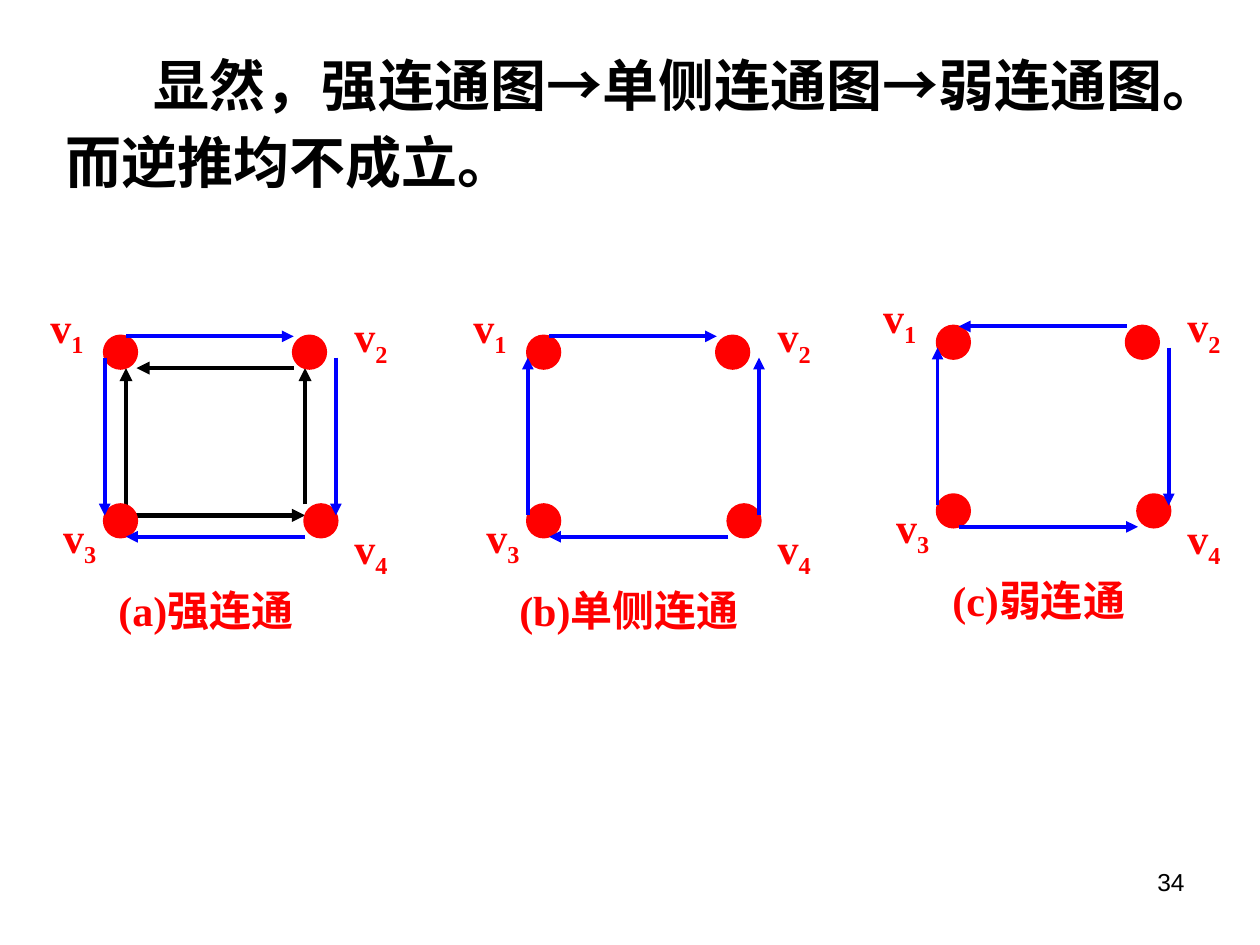
from dataclasses import dataclass
from pptx import Presentation
from pptx.dml.color import RGBColor as RGB
from pptx.enum.shapes import MSO_CONNECTOR as LINK, MSO_SHAPE as SHAPE
from pptx.enum.text import MSO_ANCHOR as ANCHOR, MSO_AUTO_SIZE as FIT, PP_ALIGN as ALIGN
from pptx.oxml.ns import qn
from pptx.util import Cm, Pt
from lxml.etree import SubElement as sub


@dataclass(frozen=True)
class Theme:
    ink: RGB = RGB(0, 0, 0)
    red: RGB = RGB(255, 0, 0)
    blue: RGB = RGB(0, 0, 255)
    head: str = "League Spartan"
    body: str = "Times New Roman"
    foot: str = "Arial"
    big: Pt = Pt(32)
    mid: Pt = Pt(24)
    small: Pt = Pt(14)
    bold: Pt = Pt(2.5)
    thin: Pt = Pt(2.25)
    rim: Pt = Pt(2)


T = Theme()
DOT = 0.64
TAG = 1.42
NODES = [(0, 0), (3.81, 0), (0, 3.4), (4.04, 3.4)]
TAGS = [(-1.47, -0.83), (4.66, -0.64), (-1.21, 3.4), (4.66, 3.62)]
SIDES = {
    "left": ((0, 0.43), (0, 3.61)),
    "right": ((4.66, 0.43), (4.66, 3.61)),
    "bottom": ((4.04, 4.04), (0.43, 4.04)),
    "top": ((0.43, 0), (3.81, 0)),
}
INNER = [
    ((3.81, 0.64), (0.64, 0.64)),
    ((0.43, 3.61), (0.43, 0.64)),
    ((0.43, 3.61), (4.04, 3.61)),
    ((4.04, 3.39), (4.04, 0.64)),
]
GRAPHS = [
    (2.11, 6.78, "(a)强连通", 4.45, INNER, set()),
    (10.64, 6.78, "(b)单侧连通", 5.51, [], {"left", "right"}),
    (18.9, 6.58, "(c)弱连通", 4.45, [], {"left", "bottom", "top"}),
]


def style(para, name, size, color, bold, align):
    para.alignment = align
    font = para.font
    font.name, font.size, font.bold = name, size, bold
    font.color.rgb = color


def add_text(shapes, x, y, w, h, text, name=T.body, size=T.mid,
             color=T.red, bold=True, align=ALIGN.CENTER):
    frame = shapes.add_textbox(Cm(x), Cm(y), Cm(w), Cm(h)).text_frame
    frame.word_wrap = True
    para = frame.paragraphs[0]
    para.add_run().text = text
    style(para, name, size, color, bold, align)
    return para


def add_tag(shapes, x, y, num):
    para = add_text(shapes, x, y, TAG, TAG, "v")
    run = para.add_run()
    run.text = str(num)
    run._r.get_or_add_rPr().set("baseline", "-25000")


def add_dot(shapes, x, y):
    dot = shapes.add_shape(SHAPE.OVAL, Cm(x), Cm(y), Cm(DOT), Cm(DOT))
    dot.shadow.inherit = False
    dot.fill.solid()
    dot.fill.fore_color.rgb = T.red
    dot.line.color.rgb = T.red
    dot.line.width = T.rim


def add_arrow(shapes, x, y, start, end, color, width):
    (ax, ay), (bx, by) = start, end
    arrow = shapes.add_connector(
        LINK.STRAIGHT, Cm(x + ax), Cm(y + ay), Cm(x + bx), Cm(y + by))
    arrow.line.color.rgb = color
    arrow.line.width = width
    sub(arrow.line._get_or_add_ln(), qn("a:tailEnd"), type="triangle")
    sub(arrow._element.spPr, qn("a:effectLst"))


def add_graph(slide, x, y, text, width, inner, turned):
    shapes = slide.shapes.add_group_shape().shapes
    for start, end in inner:
        add_arrow(shapes, x, y, start, end, T.ink, T.bold)
    for dx, dy in NODES:
        add_dot(shapes, x + dx, y + dy)
    for num, (dx, dy) in enumerate(TAGS, 1):
        add_tag(shapes, x + dx, y + dy, num)
    for side, ends in SIDES.items():
        start, end = reversed(ends) if side in turned else ends
        add_arrow(shapes, x, y, start, end, T.blue, T.thin)
    add_text(shapes, x + 2.04 - width / 2, y + 4.88, width, 1.27, text)


def set_title(slide, text):
    title = slide.shapes.title
    title.left, title.top = Cm(1.07), Cm(0.69)
    title.width, title.height = Cm(23.5), Cm(3.38)
    frame = title.text_frame
    frame.text = text
    frame.word_wrap = True
    frame.auto_size = FIT.NONE
    frame.vertical_anchor = ANCHOR.TOP
    para = frame.paragraphs[0]
    para.line_spacing = 1.15
    para._p.get_or_add_pPr().set("indent", str(Cm(1.78)))
    style(para, T.head, T.big, T.ink, True, ALIGN.LEFT)


def main():
    deck = Presentation()
    deck.slide_width, deck.slide_height = Cm(25.4), Cm(19.05)
    slide = deck.slides.add_slide(deck.slide_layouts[5])
    set_title(slide, "显然，强连通图→单侧连通图→弱连通图。而逆推均不成立。")
    for graph in GRAPHS:
        add_graph(slide, *graph)
    add_text(slide.shapes, 18.21, 17.35, 5.92, 1.32, "34",
             T.foot, T.small, T.ink, False, ALIGN.RIGHT)
    deck.save("out.pptx")


if __name__ == "__main__":
    main()
